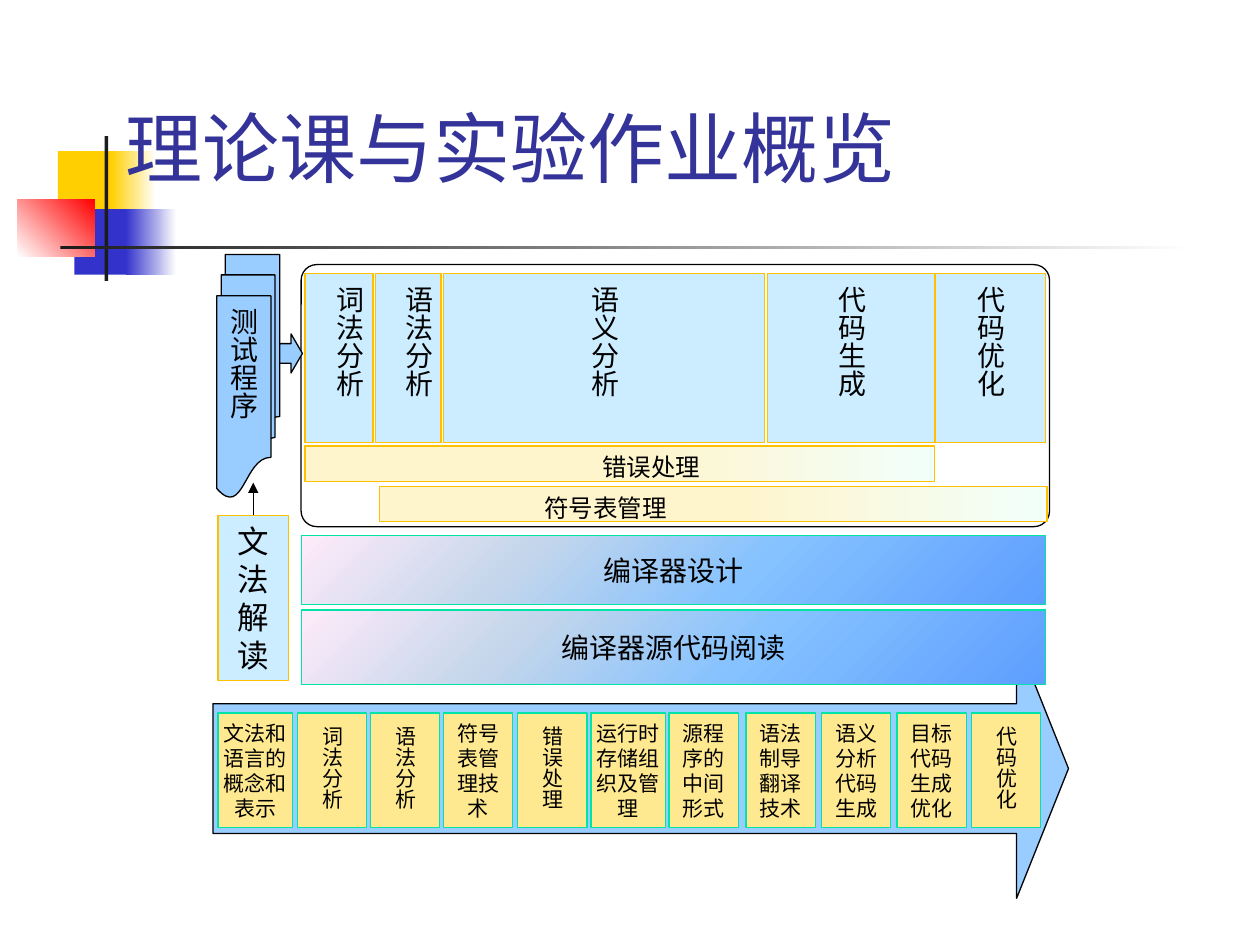
from pptx import Presentation
from pptx import util as u
from pptx.dml.color import RGBColor
from pptx.enum import shapes, text
from pptx.oxml import parse_xml
from pptx.oxml.ns import nsdecls, qn

PX = 9144  # 100 px to the inch
KIND = shapes.MSO_SHAPE
TOP, MIDDLE, BOTTOM = text.MSO_ANCHOR.TOP, text.MSO_ANCHOR.MIDDLE, text.MSO_ANCHOR.BOTTOM


class Theme:
    font = "Karla"
    title, black, dark = "333399", "000000", "1C1C1C"
    yellow, blue, red, white = "FFCF01", "3333CC", "FF0000", "FFFFFF"
    arrow, stage, course = "99CCFF", "CCECFF", "FFE990"
    amber, green = "FFC000", "00E4A8"
    band = [(0, "5E9EFF"), (40, "85C2FF"), (70, "C4D6EB"), (100, "FFEBFA")]
    support = [(0, "F1FFFB"), (47, "FFF5CC"), (95, "FFF5CC")]
    title_size, grammar_size, stage_size, support_size, course_size = 44, 18, 16, 14, 12


def fill_gradient(sp, stops, angle=None):
    """Clockwise linear gradient, or one spreading from the lower right corner."""
    gs = "".join(f'<a:gs pos="{pos * 1000}"><a:srgbClr val="{color}"/></a:gs>'
                 for pos, color in stops)
    if angle is None:
        way = '<a:path path="circle"><a:fillToRect l="100000" t="100000"/></a:path>'
    else:
        way = f'<a:lin ang="{angle * 60000}" scaled="0"/>'
    sp.fill.background()
    spPr = sp._element.spPr
    spPr.replace(spPr.find(qn("a:noFill")), parse_xml(
        f'<a:gradFill {nsdecls("a")} rotWithShape="1"><a:gsLst>{gs}</a:gsLst>{way}</a:gradFill>'))


def add_box(at, fill=None, line=None, label="", size=12, kind=KIND.RECTANGLE,
            anchor=MIDDLE, vertical=False, color=Theme.black):
    sp = s.shapes.add_shape(kind, *(v * PX for v in at))
    sp.shadow.inherit = False
    if fill:
        sp.fill.solid()
        sp.fill.fore_color.rgb = RGBColor.from_string(fill)
    else:
        sp.fill.background()
    if line:
        sp.line.color.rgb = RGBColor.from_string(line)
        sp.line.width = u.Pt(0.75)
    else:
        sp.line.fill.background()
    if label:
        tf = sp.text_frame
        tf.text = label
        tf.word_wrap = True
        tf.vertical_anchor = anchor
        if vertical:
            tf._txBody.bodyPr.set("vert", "eaVert")
        p = tf.paragraphs[0]
        p.alignment = text.PP_ALIGN.CENTER
        font = p.runs[0].font
        font.name, font.size = Theme.font, u.Pt(size)
        font.color.rgb = RGBColor.from_string(color)
    return sp


prs = Presentation()
prs.slide_width, prs.slide_height = 1000 * PX, 750 * PX
s = prs.slides.add_slide(prs.slide_layouts[6])

# Corner ornament and rule
add_box((46, 120, 48, 52), Theme.yellow)
fill_gradient(add_box((88, 120, 36, 52)), [(0, Theme.yellow), (100, Theme.white)], 0)
add_box((59, 166, 46, 52), Theme.blue)
fill_gradient(add_box((100, 166, 40, 52)), [(0, Theme.blue), (100, Theme.white)], 0)
fill_gradient(add_box((14, 158, 61, 46)), [(0, Theme.white), (100, Theme.red)], 315)
add_box((83, 108, 3, 115), Theme.dark)
fill_gradient(add_box((48, 195, 900, 3)), [(0, Theme.dark), (100, Theme.white)], 0)

title = add_box((90, 66, 852, 92), label="理论课与实验作业概览", size=Theme.title_size,
                anchor=BOTTOM, color=Theme.title)
title.text_frame.paragraphs[0].alignment = text.PP_ALIGN.LEFT

# Theory course: topics along the big arrow
course_arrow = add_box((169, 507, 679, 206), Theme.arrow, Theme.black, kind=KIND.RIGHT_ARROW)
course_arrow.adjustments[1] = 0.2
topics = [
    (173, 59, "文法和语言的概念和表示", False),
    (236, 55, "词法分析", True),
    (294, 55, "语法分析", True),
    (352, 55, "符号表管理技术", False),
    (411, 55, "错误处理", True),
    (469, 59, "运行时存储组织及管理", False),
    (531, 55, "源程序的中间形式", False),
    (592, 55, "语法制导翻译技术", False),
    (652, 55, "语义分析代码生成", False),
    (712, 55, "目标代码生成优化", False),
    (771, 55, "代码优化", True),
]
for left, width, label, vertical in topics:
    topic = add_box((left, 566, width, 91), Theme.course, Theme.green, label,
                    Theme.course_size, vertical=vertical)
    if width == 59:
        topic.text_frame.margin_left = topic.text_frame.margin_right = 4 * PX

# Compiler design and reading
for top, height, label in [(484, 59, "编译器源代码阅读"), (425, 55, "编译器设计")]:
    band = add_box((239, top, 591, height), None, Theme.green, label, Theme.stage_size)
    fill_gradient(band, Theme.band)

# Compiler stages
frame = add_box((239, 210, 594, 208), None, Theme.black, kind=KIND.ROUNDED_RECTANGLE)
frame.adjustments[0] = 0.06
stages = [
    (242, 54, "词法分析", TOP),
    (298, 52, "语法分析", TOP),
    (352, 255, "语义分析", MIDDLE),
    (609, 133, "代码生成", MIDDLE),
    (742, 88, "代码优化", MIDDLE),
]
for left, width, label, anchor in stages:
    add_box((left, 217, width, 134), Theme.stage, Theme.amber, label,
            Theme.stage_size, anchor=anchor, vertical=True)

supports = [((301, 386, 530, 28), "符号表管理", 131, text.PP_ALIGN.LEFT),
            ((242, 354, 500, 28), "错误处理", 60, text.PP_ALIGN.CENTER)]
for at, label, margin, align in supports:
    support = add_box(at, None, Theme.amber, label, Theme.support_size, anchor=TOP)
    fill_gradient(support, Theme.support, 180)
    support.text_frame.margin_left = margin * PX
    support.text_frame.paragraphs[0].alignment = align

# Test programs and the grammar behind them
programs = add_box((172, 202, 50, 193), Theme.arrow, Theme.black, "测试程序",
                   Theme.stage_size, KIND.FLOWCHART_MULTIDOCUMENT, vertical=True)
programs.text_frame.word_wrap = False
add_box((222, 265, 18, 31), Theme.arrow, Theme.black, kind=KIND.RIGHT_ARROW)
grammar = add_box((173, 409, 56, 131), Theme.stage, Theme.amber, "文法解读",
                  Theme.grammar_size)
link = s.shapes.add_connector(shapes.MSO_CONNECTOR.STRAIGHT,
                              201 * PX, 409 * PX, 201 * PX, 383 * PX)
link.begin_connect(grammar, 0)
link.line.color.rgb = RGBColor.from_string(Theme.black)
link.line.width = u.Pt(0.75)
link.line._get_or_add_ln().append(parse_xml(f'<a:tailEnd {nsdecls("a")} type="triangle"/>'))
link._element.spPr.append(parse_xml(f'<a:effectLst {nsdecls("a")}/>'))

prs.save("out.pptx")
